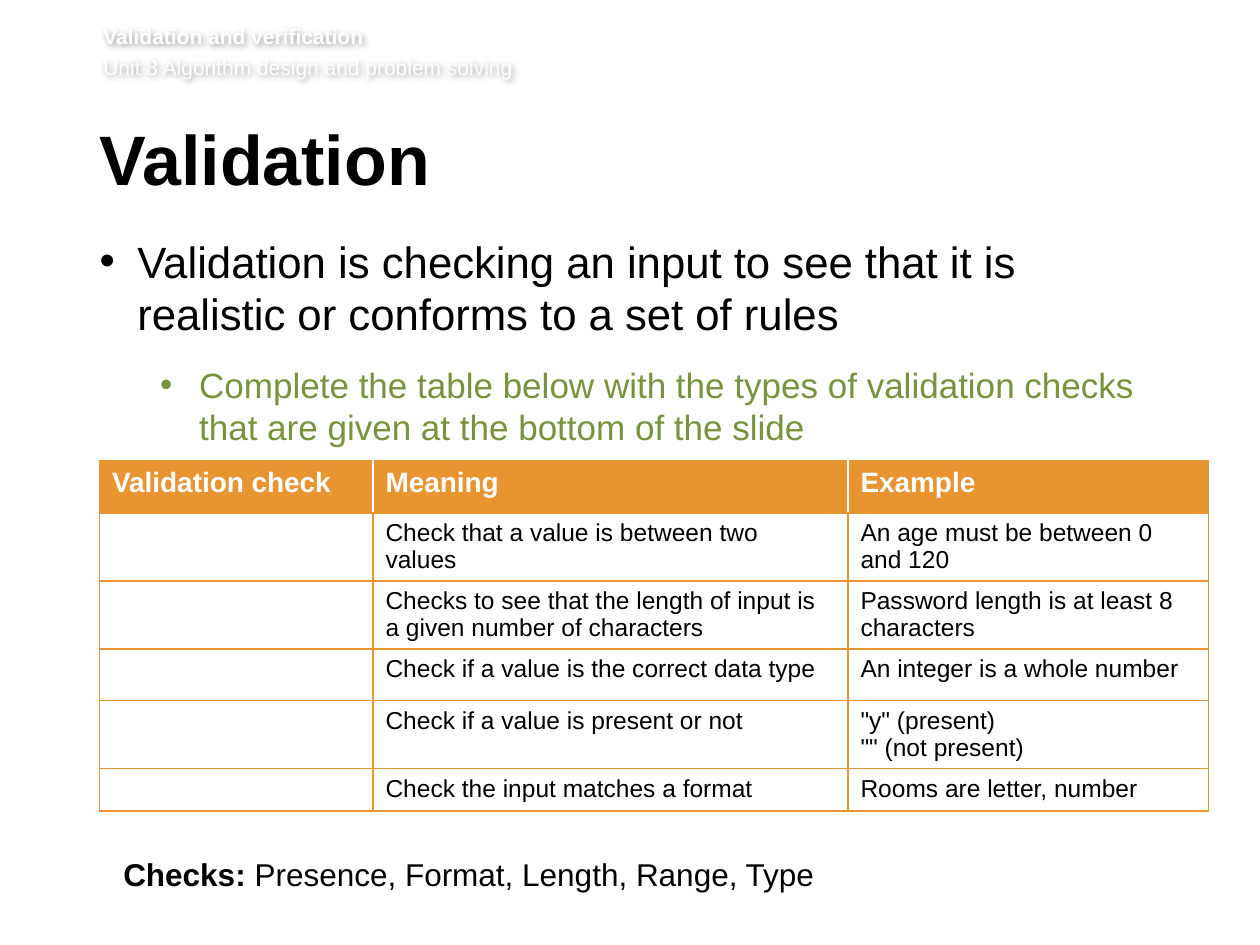
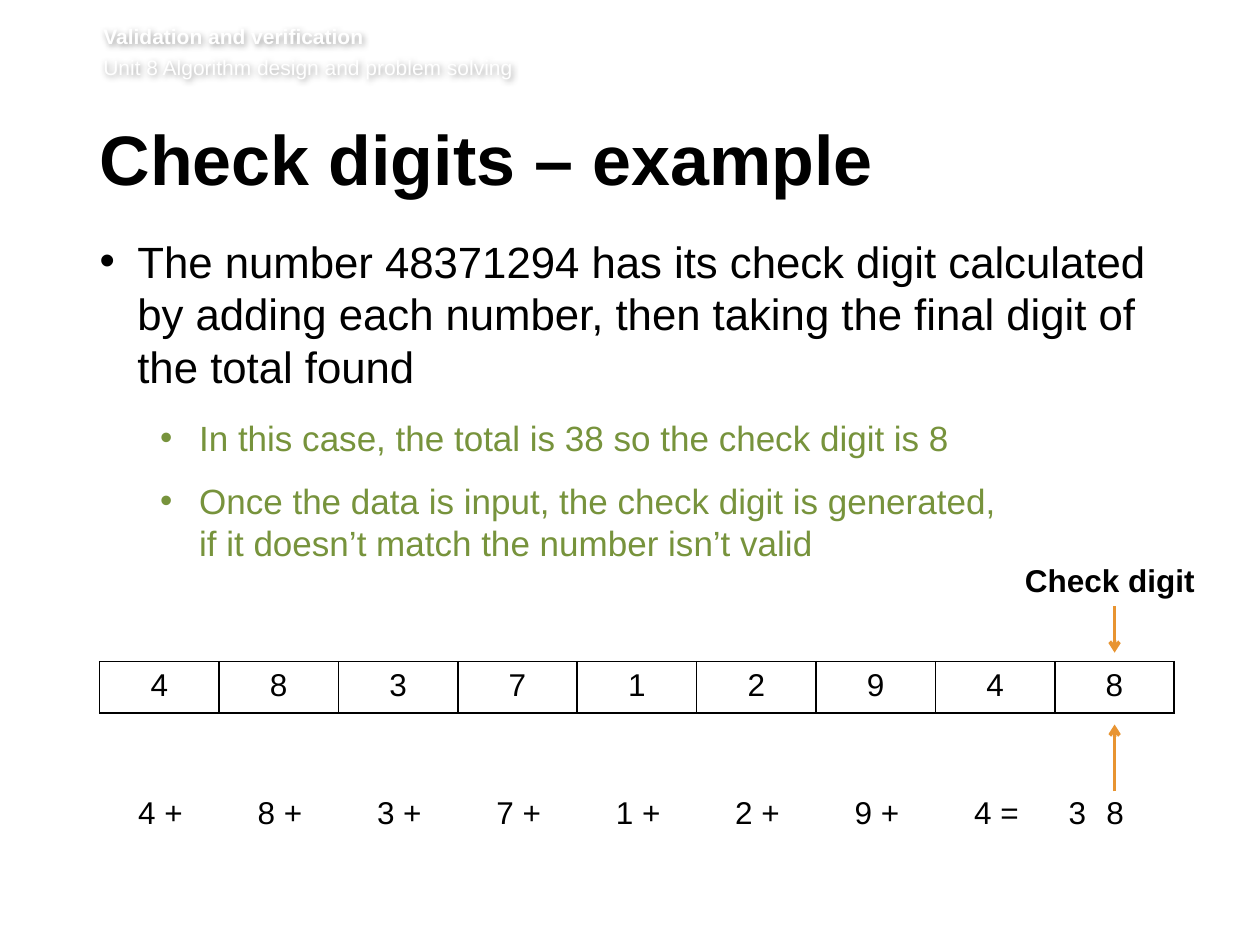
from lxml.etree import SubElement
from pptx import Presentation
from pptx.dml.color import RGBColor
from pptx.enum.shapes import MSO_CONNECTOR
from pptx.enum.text import MSO_ANCHOR, MSO_AUTO_SIZE, PP_ALIGN
from pptx.oxml.ns import qn
from pptx.util import Inches, Pt

FONT = "Arial"
BLACK, WHITE, ORANGE, GREEN = "000000", "FFFFFF", "E89431", "77933C"
LEFT, WIDE = 0.79, 8.53


def tint(code):
    return RGBColor.from_string(code)


def node(parent, tag, **attrs):
    return SubElement(parent, qn(tag), {key: str(val) for key, val in attrs.items()})


def write(para, text, size=18, color=BLACK, bold=False, align=PP_ALIGN.LEFT,
          before=0, after=0, line=None):
    para.alignment = align
    para.space_before, para.space_after = Pt(before), Pt(after)
    if line:
        para.line_spacing = Pt(line)
    if not text:
        node(para._p, "a:endParaRPr", sz=size * 100)
        return
    for index, part in enumerate(text.split("\n")):
        if index:
            para.add_line_break()
        run = para.add_run()
        run.text = part
        font = run.font
        font.name, font.size, font.bold = FONT, Pt(size), bold
        font.color.rgb = tint(color)


def place(shape, x, y, w, h):
    shape.left, shape.top = Inches(x), Inches(y)
    shape.width, shape.height = Inches(w), Inches(h)


def setup(frame, left=0.1, top=0.05, right=0.1):
    frame.word_wrap = True
    frame.auto_size = MSO_AUTO_SIZE.NONE
    frame.vertical_anchor = MSO_ANCHOR.TOP
    frame.margin_left, frame.margin_right = Inches(left), Inches(right)
    frame.margin_top, frame.margin_bottom = Inches(top), Inches(0.05)
    return frame


def textbox(slide, x, y, w, h):
    return slide.shapes.add_textbox(Inches(x), Inches(y), Inches(w), Inches(h))


def banner(slide, x, y, w, h):
    box = textbox(slide, x, y, w, h)
    frame = setup(box.text_frame, 0, 0, 0)
    write(frame.paragraphs[0], "Validation and verification", size=12, color=WHITE, bold=True)
    write(frame.add_paragraph(), "Unit 8 Algorithm design and problem solving",
          size=12, color=WHITE, before=2.9)
    effects = node(box._element.spPr, "a:effectLst")
    shadow = node(effects, "a:outerShdw", blurRad=Pt(4), dist=Pt(1), dir=2700000,
                  algn="tl", rotWithShape=0)
    node(node(shadow, "a:srgbClr", val=BLACK), "a:alpha", val=40000)


def heading(slide, text, x, y, w, h):
    shape = slide.shapes.title
    place(shape, x, y, w, h)
    write(setup(shape.text_frame, left=0).paragraphs[0], text,
          size=40, bold=True, after=15, line=39)


def bullet(para, margin, hang):
    props = para._p.get_or_add_pPr()
    props.set("marL", str(Inches(margin)))
    props.set("indent", str(Inches(-hang)))
    node(props, "a:buChar", char="•")


def points(slide, main, subs, x, y, w, h):
    shape = slide.placeholders[1]
    place(shape, x, y, w, h)
    frame = setup(shape.text_frame, left=0, top=0)
    first = frame.paragraphs[0]
    bullet(first, 0.3, 0.3)
    write(first, main, size=25, after=14, line=30)
    for text in subs:
        para = frame.add_paragraph()
        para.level = 1
        bullet(para, 0.79, 0.31)
        write(para, text, size=20, color=GREEN, after=12, line=24)


def label(slide, runs, x, y, w, h):
    para = setup(textbox(slide, x, y, w, h).text_frame).paragraphs[0]
    for text, bold in runs:
        write(para, text, bold=bold)


def edge(cell, sides):
    props = cell._tc.get_or_add_tcPr()
    for side, color in zip("LRTB", sides):
        line = node(props, f"a:ln{side}", w=Pt(1))
        if color:
            node(node(line, "a:solidFill"), "a:srgbClr", val=color)
        else:
            node(line, "a:noFill")


def grid(slide, x, y, cols, rows):
    frame = slide.shapes.add_table(len(rows), len(cols), Inches(x), Inches(y),
                                   Inches(sum(cols)), Inches(sum(rows)))
    table = frame.table
    table.first_row = table.horz_banding = False
    for col, size in zip(table.columns, cols):
        col.width = Inches(size)
    for row, size in zip(table.rows, rows):
        row.height = Inches(size)
    return table


def fill(cell, text, sides, back=None, **style):
    edge(cell, sides)
    if back:
        cell.fill.solid()
        cell.fill.fore_color.rgb = tint(back)
    else:
        cell.fill.background()
    write(cell.text_frame.paragraphs[0], text, **style)


def checks(slide, x, y):
    heads = ["Validation check", "Meaning", "Example"]
    facts = [
        ("Check that a value is between two values", "An age must be between 0 and 120"),
        ("Checks to see that the length of input is a given number of characters",
         "Password length is at least 8 characters"),
        ("Check if a value is the correct data type", "An integer is a whole number"),
        ("Check if a value is present or not", '"y" (present)\n"" (not present)'),
        ("Check the input matches a format", "Rooms are letter, number"),
    ]
    table = grid(slide, x, y, [2.17, 3.77, 2.86], [0.41, 0.54, 0.54, 0.41, 0.54, 0.32])
    last = len(heads) - 1
    for col, text in enumerate(heads):
        sides = [WHITE if col else ORANGE, WHITE if col < last else ORANGE, ORANGE, ORANGE]
        fill(table.cell(0, col), text, sides, back=ORANGE, size=16, color=WHITE, bold=True)
    for row, fact in enumerate(facts, 1):
        for col, text in enumerate(("", *fact)):
            fill(table.cell(row, col), text, [ORANGE] * 4, size=14)


def strip(slide, texts, cols, x, y, color=None):
    table = grid(slide, x, y, cols, [0.41])
    for col, text in enumerate(texts):
        align = PP_ALIGN.CENTER if col < 8 or color else PP_ALIGN.LEFT
        fill(table.cell(0, col), text, [color] * 4, align=align)


def arrow(slide, x, start, end):
    link = slide.shapes.add_connector(MSO_CONNECTOR.STRAIGHT, Inches(x), Inches(start),
                                      Inches(x), Inches(end))
    link.line.color.rgb = tint(ORANGE)
    link.line.width = Pt(2)
    node(link.line._get_or_add_ln(), "a:tailEnd", type="arrow")
    node(link._element.spPr, "a:effectLst")


def sums(slide, x, y, w):
    digits = "48371294"
    step = w / 9
    mid = x + 8.5 * step
    strip(slide, digits + "8", [step] * 9, x, y, BLACK)
    terms = [f"{digit} +" for digit in digits[:-1]] + [f"{digits[-1]} =", "3", "8"]
    strip(slide, terms, [step] * 8 + [0.3, step - 0.3], x + 0.01, y + 1.02)
    arrow(slide, mid, y + 1.03, y + 0.5)
    arrow(slide, mid, y - 0.44, y - 0.07)
    label(slide, [("Check digit", True)], mid - 0.81, y - 0.85, 1.62, 0.4)


def start(deck, title, main, subs, tall):
    slide = deck.slides.add_slide(deck.slide_layouts[1])
    banner(slide, 0.82, 0.19, 8.82, 0.49)
    heading(slide, title, LEFT, 0.99, 8.55, 0.73)
    points(slide, main, subs, LEFT, 1.86, WIDE, tall)
    return slide


def main():
    deck = Presentation()
    deck.slide_width, deck.slide_height = Inches(10), Inches(7.5)

    slide = start(
        deck, "Validation",
        "Validation is checking an input to see that it is realistic or conforms to a set of rules",
        ["Complete the table below with the types of validation checks that are given "
         "at the bottom of the slide"], 4.93)
    checks(slide, LEFT, 3.66)
    label(slide, [("Checks: ", True), ("Presence, Format, Length, Range, Type", False)],
          0.88, 6.74, 6.21, 0.4)

    slide = start(
        deck, "Check digits – example",
        "The number 48371294 has its check digit calculated by adding each number, "
        "then taking the final digit of the total found",
        ["In this case, the total is 38 so the check digit is 8",
         "Once the data is input, the check digit is generated,\n"
         "if it doesn’t match the number isn’t valid"], 3.78)
    sums(slide, LEFT, 5.25, WIDE)

    deck.save("out.pptx")


if __name__ == "__main__":
    main()
